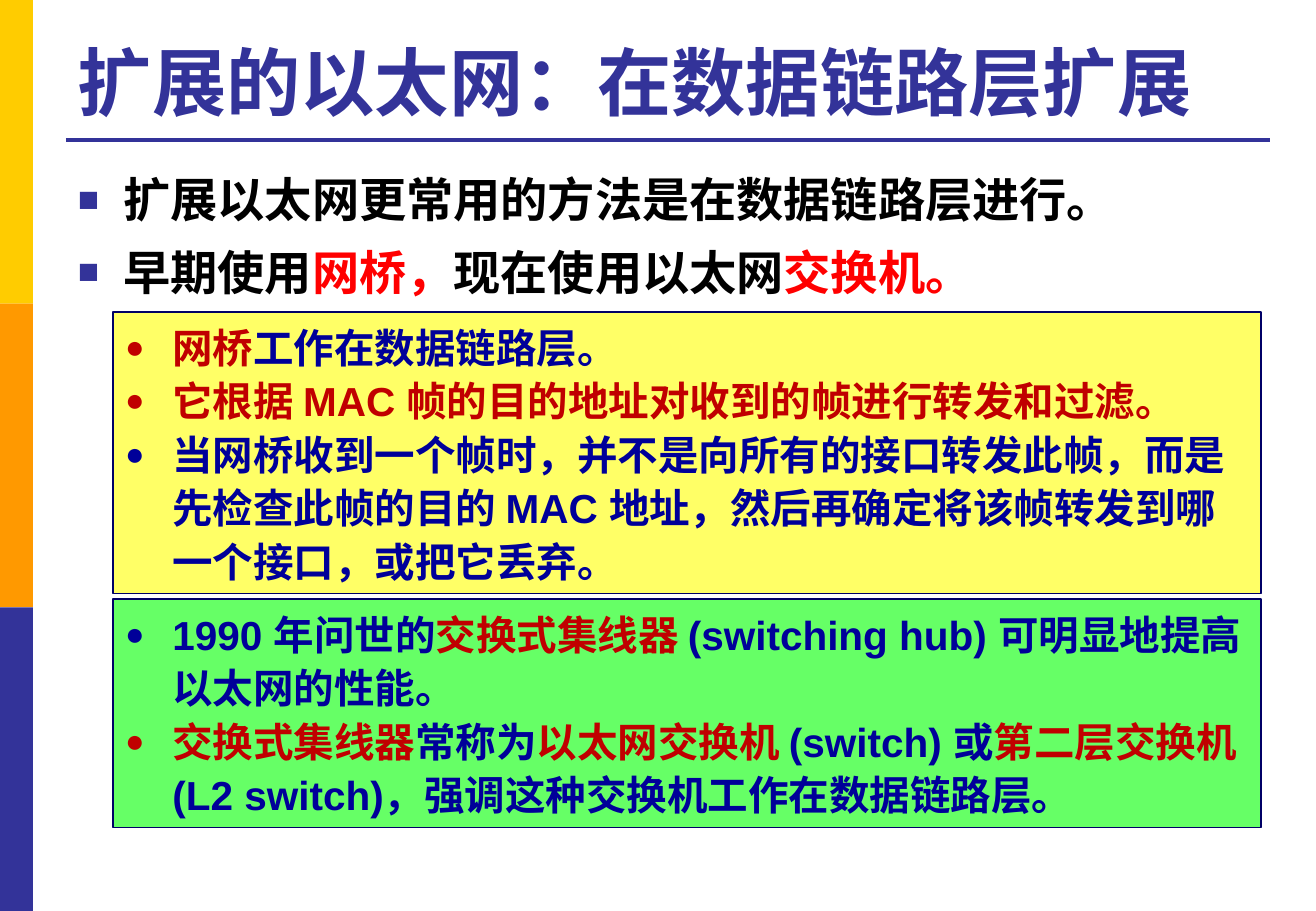
from lxml.etree import SubElement
from pptx import Presentation
from pptx.dml.color import RGBColor
from pptx.enum.shapes import MSO_CONNECTOR, MSO_SHAPE
from pptx.enum.text import MSO_ANCHOR as Anchor, MSO_AUTO_SIZE as AutoSize, PP_ALIGN as Align
from pptx.oxml.ns import qn
from pptx.util import Pt

COLORS = {
    "gold": "FFCC00", "orange": "FF9900", "indigo": "333399",
    "black": "000000", "red": "FF0000", "crimson": "C00000",
    "blue": "000099", "navy": "000066", "yellow": "FFFF66", "green": "66FF66",
}


def color(name):
    return RGBColor.from_string(COLORS[name])


def add_bullet(paragraph, char, percent, indent, tint):
    properties = paragraph._p.get_or_add_pPr()
    properties.set("marL", str(Pt(indent)))
    properties.set("indent", str(-Pt(indent)))
    bullet_color = SubElement(properties, qn("a:buClr"))
    SubElement(bullet_color, qn("a:srgbClr"), val=COLORS[tint])
    SubElement(properties, qn("a:buSzPct"), val=str(percent * 1000))
    SubElement(properties, qn("a:buFont"), typeface="Arial")
    SubElement(properties, qn("a:buChar"), char=char)


def write(paragraph, runs, size, font="Arial", bold=True, bullet=None, tint=None,
          percent=100, indent=0, spacing=None, before=0):
    if bullet:
        add_bullet(paragraph, bullet, percent, indent, tint or runs[0][1])
    paragraph.alignment = Align.LEFT
    paragraph.space_before = Pt(before)
    if spacing:
        paragraph.line_spacing = spacing
    for words, ink in runs:
        run = paragraph.add_run()
        run.text = words
        run.font.name = font
        run.font.size = Pt(size)
        run.font.bold = bold
        run.font.color.rgb = color(ink)


class Deck:
    def __init__(self, width, height):
        self.presentation = Presentation()
        self.presentation.slide_width = Pt(width)
        self.presentation.slide_height = Pt(height)
        self.slide = self.presentation.slides.add_slide(self.presentation.slide_layouts[5])

    def title(self, words, left, top, width, height):
        heading = self.slide.shapes.title
        heading.left, heading.top = Pt(left), Pt(top)
        heading.width, heading.height = Pt(width), Pt(height)
        frame = heading.text_frame
        frame.auto_size = AutoSize.NONE
        frame.vertical_anchor = Anchor.BOTTOM
        write(frame.paragraphs[0], [(words, "indigo")], 44)

    def rectangle(self, left, top, width, height, fill, line=None):
        box = self.slide.shapes.add_shape(
            MSO_SHAPE.RECTANGLE, Pt(left), Pt(top), Pt(width), Pt(height))
        box.shadow.inherit = False
        box.fill.solid()
        box.fill.fore_color.rgb = color(fill)
        if line:
            box.line.color.rgb = color(line)
            box.line.width = Pt(0.75)
        else:
            box.line.fill.background()
        return box

    def rule(self, left, right, y):
        rule = self.slide.shapes.add_connector(
            MSO_CONNECTOR.STRAIGHT, Pt(left), Pt(y), Pt(right), Pt(y))
        rule.line.color.rgb = color("indigo")
        rule.line.width = Pt(2.25)
        SubElement(rule._element.spPr, qn("a:effectLst"))

    def bullets(self, frame, items, before=0, **style):
        frame.word_wrap = True
        frame.vertical_anchor = Anchor.TOP
        for index, runs in enumerate(items):
            paragraph = frame.add_paragraph() if index else frame.paragraphs[0]
            write(paragraph, runs, before=before if index else 0, spacing=1.1, **style)

    def body(self, items, left, top, width, height):
        body = self.slide.shapes.add_textbox(Pt(left), Pt(top), Pt(width), Pt(height))
        self.bullets(body.text_frame, items, before=6, size=28, bullet="■",
                     tint="indigo", percent=75, indent=27)

    def panel(self, items, top, height, fill):
        panel = self.rectangle(67, top, 680.4, height, fill, "navy")
        self.bullets(panel.text_frame, items, size=24, bullet="●", percent=80, indent=28.1)
        panel.text_frame.auto_size = AutoSize.SHAPE_TO_FIT_TEXT


def main():
    deck = Deck(780, 540)
    for index, band in enumerate(["gold", "orange", "indigo"]):
        deck.rectangle(0, 180 * index, 19.5, 180, band)
    deck.rule(39, 753, 82.8)
    deck.title("扩展的以太网：在数据链路层扩展", 39, 15.1, 713.5, 62.6)
    deck.body([
        [("扩展以太网更常用的方法是在数据链路层进行。", "black")],
        [("早期使用", "black"), ("网桥，", "red"),
         ("现在使用以太网", "black"), ("交换机。", "red")],
    ], 39, 94.3, 713.5, 388.8)
    deck.panel([
        [("网桥", "crimson"), ("工作在数据链路层。", "blue")],
        [("它根据 MAC 帧的目的地址对收到的帧进行转发和过滤。", "crimson")],
        [("当网桥收到一个帧时，并不是向所有的接口转发此帧，而是先检查此帧的目的 MAC 地址，"
          "然后再确定将该帧转发到哪一个接口，或把它丢弃。", "blue")],
    ], 185, 167, "yellow")
    deck.panel([
        [("1990 年问世的", "blue"), ("交换式集线器 ", "crimson"),
         ("(switching hub) 可明显地提高以太网的性能。", "blue")],
        [("交换式集线器", "crimson"), ("常称为", "blue"), ("以太网交换机 ", "crimson"),
         ("(switch) 或", "blue"), ("第二层交换机 ", "crimson"),
         ("(L2 switch)，强调这种交换机工作在数据链路层。", "blue")],
    ], 355, 135.4, "green")
    deck.presentation.save("out.pptx")


if __name__ == "__main__":
    main()
